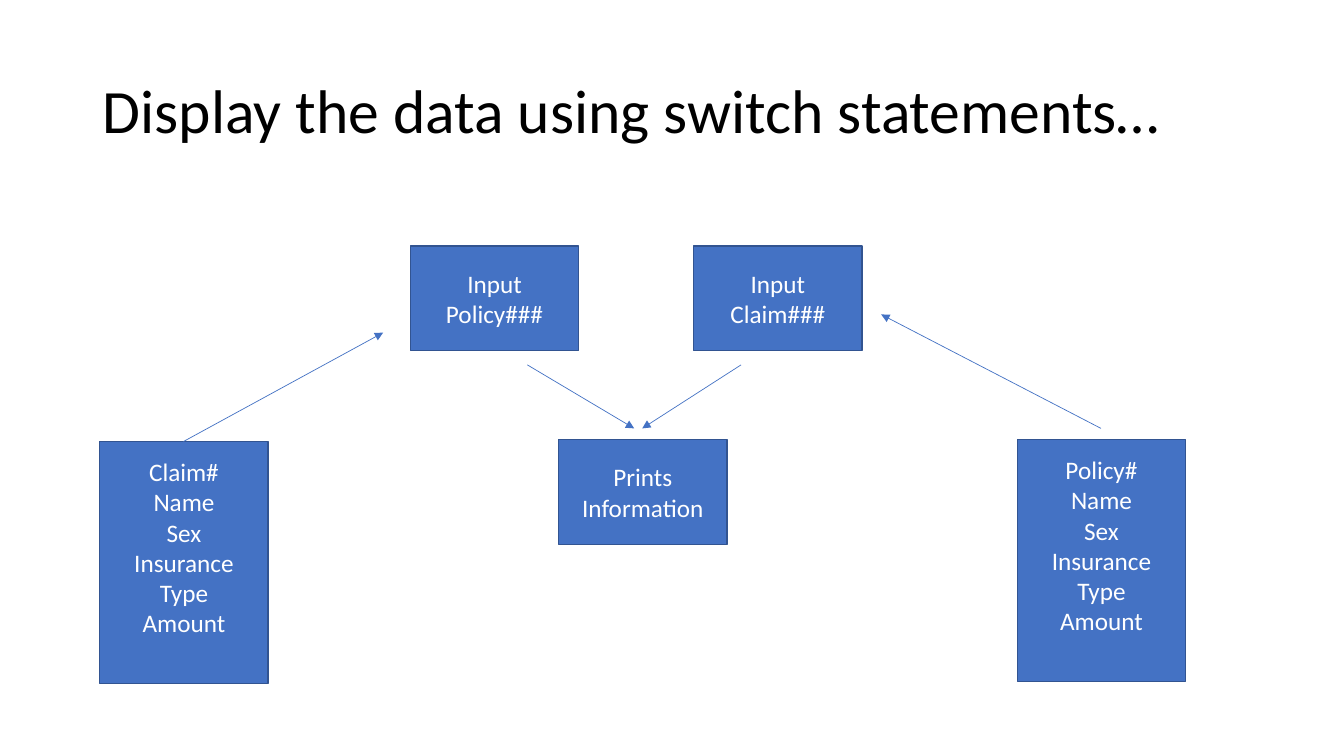
from dataclasses import dataclass

from lxml.etree import SubElement
from pptx import Presentation
from pptx.dml.color import RGBColor
from pptx.enum.shapes import MSO_CONNECTOR, MSO_SHAPE
from pptx.enum.text import MSO_ANCHOR, PP_ALIGN
from pptx.oxml.ns import qn
from pptx.util import Inches, Pt


@dataclass(frozen=True)
class Theme:
    font: str = "Calibri"
    title_size: int = 44
    body_size: int = 18
    black: str = "000000"
    white: str = "FFFFFF"
    blue: str = "4472C4"
    edge: str = "325491"


THEME = Theme()
BOX_W, BOX_H, RECORD_H = 1.67, 1.04, 2.4
FIELDS = "Name\nSex\nInsurance Type\nAmount"


def color(value):
    return RGBColor.from_string(value)


def set_text(tf, text, size, ink, align):
    tf.word_wrap = True
    tf.vertical_anchor = MSO_ANCHOR.MIDDLE
    p = tf.paragraphs[0]
    p.text = text
    p.alignment = align
    p.font.name = THEME.font
    p.font.size = Pt(size)
    p.font.color.rgb = color(ink)
    return p


def add_title(s, text, x, y, w, h):
    sp = s.shapes.title
    sp.left, sp.top, sp.width, sp.height = map(Inches, (x, y, w, h))
    p = set_text(sp.text_frame, text, THEME.title_size, THEME.black, PP_ALIGN.LEFT)
    p.line_spacing = 0.9


def add_box(s, text, x, y, h=BOX_H):
    sp = s.shapes.add_shape(MSO_SHAPE.RECTANGLE, *map(Inches, (x, y, BOX_W, h)))
    sp.shadow.inherit = False
    sp.fill.solid()
    sp.fill.fore_color.rgb = color(THEME.blue)
    sp.line.color.rgb = color(THEME.edge)
    sp.line.width = Pt(1)
    set_text(sp.text_frame, text, THEME.body_size, THEME.white, PP_ALIGN.CENTER)
    return sp


def add_record(s, key, x, y):
    sp = add_box(s, f"{key}\n{FIELDS}", x, y, RECORD_H)
    sp.text_frame.margin_bottom = Inches(0.35)


def add_arrow(s, start, end):
    cn = s.shapes.add_connector(MSO_CONNECTOR.STRAIGHT, *map(Inches, start + end))
    cn.line.color.rgb = color(THEME.blue)
    cn.line.width = Pt(0.5)
    SubElement(cn.line._get_or_add_ln(), qn("a:tailEnd"), type="triangle")
    SubElement(cn._element.spPr, qn("a:effectLst"))


def add_flow(s, x, y):
    add_box(s, "Input Policy###", x + 3.08, y)
    add_box(s, "Input Claim###", x + 5.89, y)
    add_record(s, "Claim#", x, y + 1.94)
    add_record(s, "Policy#", x + 9.1, y + 1.92)
    add_box(s, "Prints Information", x + 4.55, y + 1.92)
    for x1, y1, x2, y2 in (
        (4.24, 1.18, 5.3, 1.81),
        (6.36, 1.18, 5.38, 1.81),
        (0.83, 1.94, 2.81, 0.86),
        (9.93, 1.81, 7.75, 0.68),
    ):
        add_arrow(s, (x + x1, y + y1), (x + x2, y + y2))


def main():
    prs = Presentation()
    prs.slide_width, prs.slide_height = Inches(13.33), Inches(7.5)
    s = prs.slides.add_slide(prs.slide_layouts.get_by_name("Title Only"))
    s.background.fill.solid()
    s.background.fill.fore_color.rgb = color(THEME.white)
    add_title(s, "Display the data using switch statements…", 0.92, 0.4, 11.5, 1.45)
    add_flow(s, 0.99, 2.44)
    prs.save("out.pptx")


if __name__ == "__main__":
    main()
